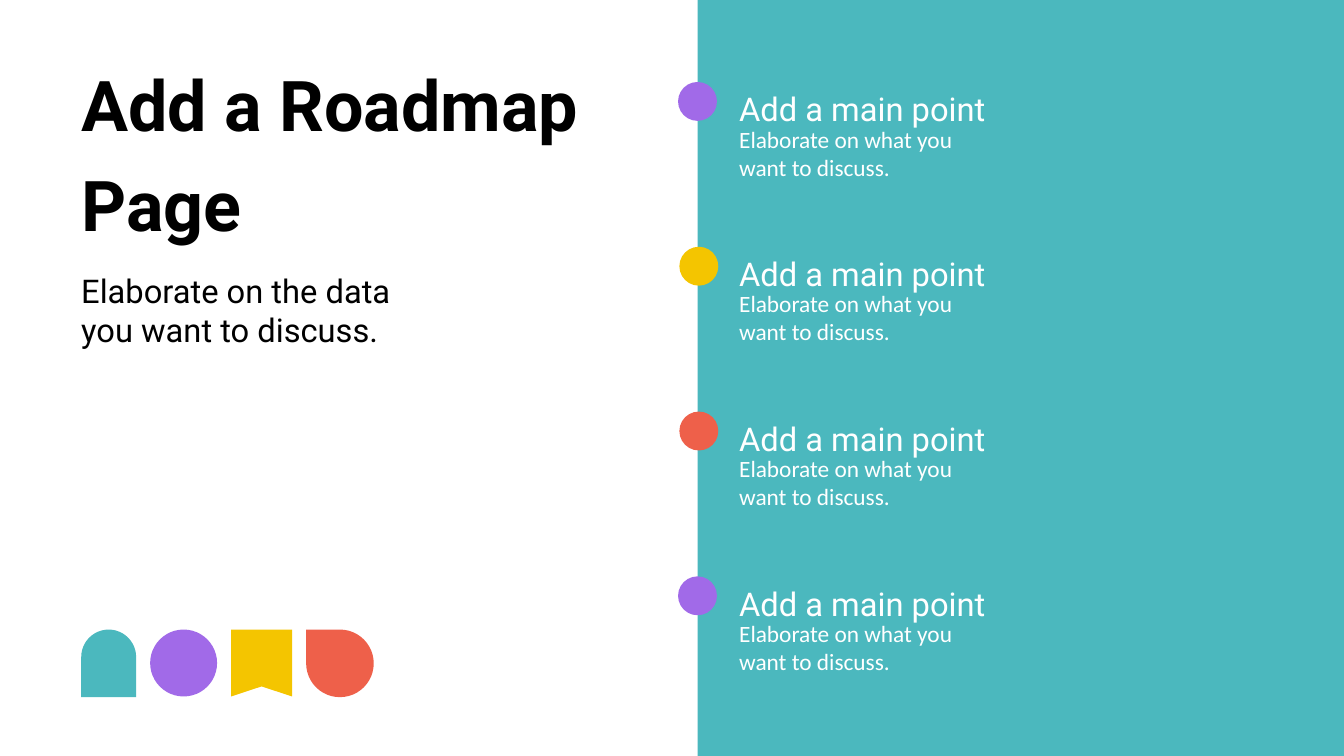
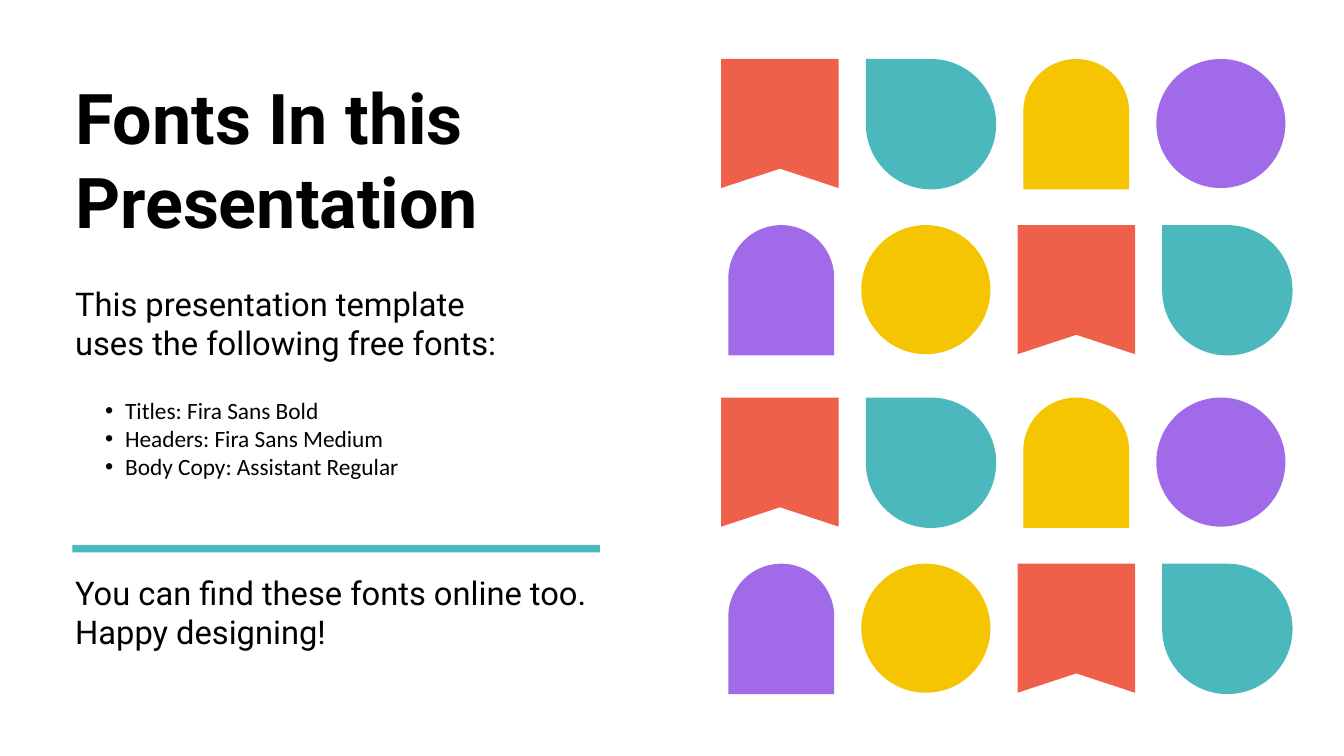
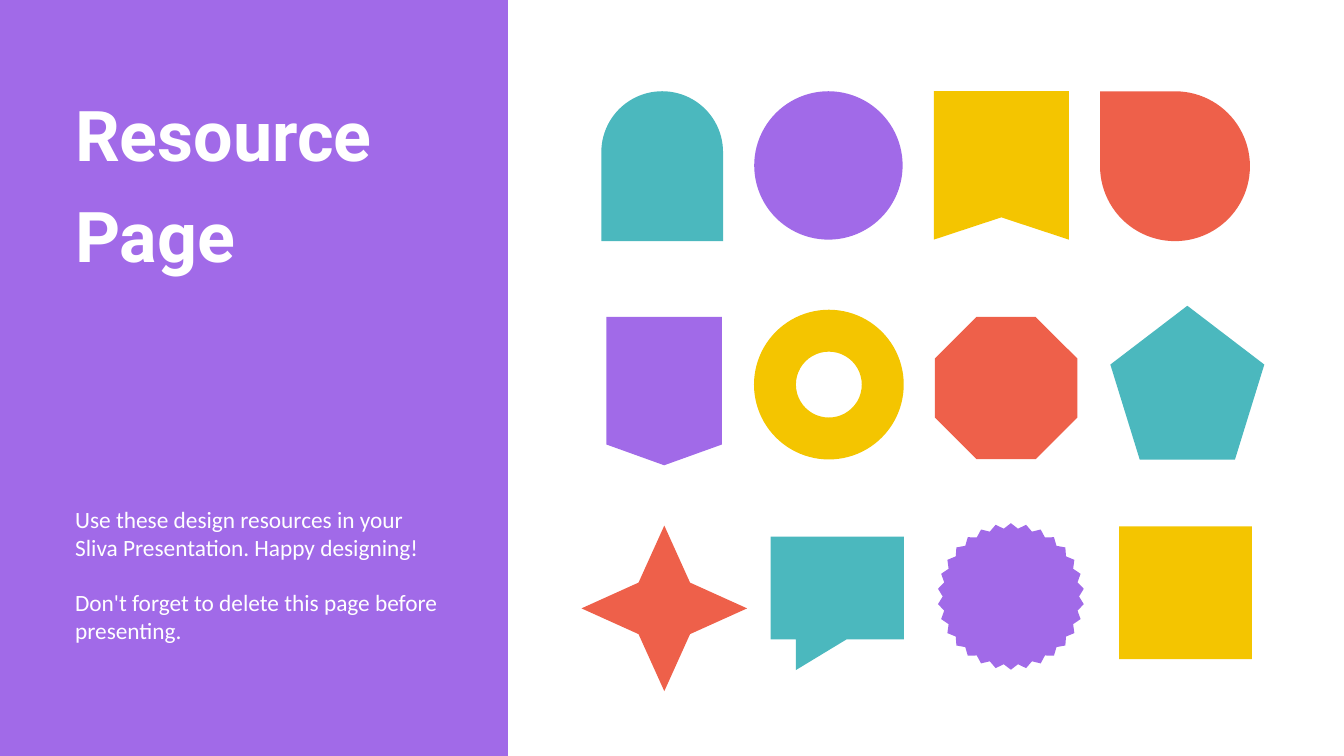
from dataclasses import dataclass
from math import cos, pi, sin
from typing import Any, NamedTuple

from lxml.etree import SubElement
from pptx import Presentation
from pptx.dml.color import RGBColor
from pptx.enum.shapes import MSO_SHAPE as Preset
from pptx.enum.text import MSO_ANCHOR as Anchor, MSO_AUTO_SIZE as AutoSize, PP_ALIGN as Align
from pptx.oxml.ns import qn
from pptx.util import Cm, Pt


@dataclass(frozen=True)
class Theme:
    teal: str = "4BB8BE"
    purple: str = "A16AE8"
    yellow: str = "F4C500"
    coral: str = "EE604A"
    black: str = "000000"
    white: str = "FFFFFF"
    heading_font: str = "Roboto"
    body_font: str = "Calibri"
    title_size: int = 75
    lead_size: int = 35
    body_size: int = 25


THEME = Theme()
PAGE_WIDTH, PAGE_HEIGHT = 50.8, 28.58


class Area(NamedTuple):
    """A rectangle in centimetres."""
    left: float
    top: float
    width: float
    height: float


class Line(NamedTuple):
    text: str
    spacing: float = 1.0
    before: float = 0


@dataclass(frozen=True)
class TextStyle:
    font: str
    size: int
    color: str
    bold: bool = False
    bullet: bool = False


@dataclass(frozen=True)
class Icon:
    kind: str
    color: str
    area: Area


class PresetLook(NamedTuple):
    shape: Any
    adjustments: tuple[float, ...] = ()
    rotation: float = 0


TITLE = TextStyle(THEME.heading_font, THEME.title_size, THEME.black, bold=True)
TITLE_LIGHT = TextStyle(THEME.heading_font, THEME.title_size, THEME.white, bold=True)
LEAD = TextStyle(THEME.heading_font, THEME.lead_size, THEME.black)
LEAD_LIGHT = TextStyle(THEME.heading_font, THEME.lead_size, THEME.white)
BODY_LIGHT = TextStyle(THEME.body_font, THEME.body_size, THEME.white)
BULLETS = TextStyle(THEME.body_font, THEME.body_size, THEME.black, bullet=True)

PRESETS = {
    "rectangle": PresetLook(Preset.RECTANGLE),
    "circle": PresetLook(Preset.OVAL),
    "arch": PresetLook(Preset.ROUND_2_SAME_RECTANGLE, (0.5, 0)),
    "drop": PresetLook(Preset.TEAR, (), 270),
    "donut": PresetLook(Preset.DONUT, (0.28,)),
    "octagon": PresetLook(Preset.OCTAGON),
    "pentagon": PresetLook(Preset.REGULAR_PENTAGON),
    "star": PresetLook(Preset.STAR_4_POINT, (0.22,)),
}


def seal_points(spikes: int = 30, inner: float = 0.93) -> list[tuple[float, float]]:
    points = []
    for step in range(2 * spikes):
        radius = 0.5 * (inner if step % 2 else 1)
        angle = pi * step / spikes
        points.append((0.5 + radius * sin(angle), 0.5 - radius * cos(angle)))
    return points


# Corners as fractions of the width and height
OUTLINES = {
    "banner": [(0, 0), (1, 0), (1, 1), (0.5, 0.85), (0, 1)],
    "badge": [(0, 0), (1, 0), (1, 0.86), (0.5, 1), (0, 0.86)],
    "bubble": [(0, 0), (1, 0), (1, 0.77), (0.57, 0.77), (0.19, 1), (0.19, 0.77), (0, 0.77)],
    "seal": seal_points(),
}

# Width and height of each row icon, relative to the row height
ROW_PROPORTIONS = {
    "arch": (0.82, 1.01),
    "circle": (1, 1),
    "banner": (0.91, 1),
    "drop": (1.01, 1.01),
}
ROW_GAP = 0.21


def draw_icon(shapes: Any, icon: Icon) -> Any:
    left, top, width, height = (Cm(length) for length in icon.area)
    if icon.kind in OUTLINES:
        corners = [(left + x * width, top + y * height) for x, y in OUTLINES[icon.kind]]
        builder = shapes.build_freeform(*corners[0])
        builder.add_line_segments(corners[1:], close=True)
        shape = builder.convert_to_shape()
    else:
        look = PRESETS[icon.kind]
        shape = shapes.add_shape(look.shape, left, top, width, height)
        for index, value in enumerate(look.adjustments):
            shape.adjustments[index] = value
        shape.rotation = look.rotation
    shape.shadow.inherit = False
    shape.fill.solid()
    shape.fill.fore_color.rgb = RGBColor.from_string(icon.color)
    shape.line.fill.background()
    return shape


def draw_row(shapes: Any, row: list[tuple[str, str]], left: float, top: float, size: float) -> None:
    """Set icons side by side with equal gaps."""
    for kind, color in row:
        width, height = (size * part for part in ROW_PROPORTIONS[kind])
        draw_icon(shapes, Icon(kind, color, Area(left, top, width, height)))
        left += width + ROW_GAP * size


def draw_panel(page: Any, color: str, area: Area) -> None:
    """Draw a full-height colour panel behind the title."""
    panel = draw_icon(page.shapes, Icon("rectangle", color, area))
    page.shapes.title.element.addprevious(panel.element)


def set_bullet(para: Any, style: TextStyle) -> None:
    properties = para._p.get_or_add_pPr()
    indent, hanging = (Cm(1.5), Cm(-0.76)) if style.bullet else (0, 0)
    properties.set("marL", str(indent))
    properties.set("indent", str(hanging))
    if style.bullet:
        color = SubElement(properties, qn("a:buClr"))
        SubElement(color, qn("a:srgbClr"), val=style.color)
        SubElement(properties, qn("a:buFont"), typeface="Arial")
        SubElement(properties, qn("a:buChar"), char="•")
    else:
        SubElement(properties, qn("a:buNone"))


def write(box: Any, area: Area, style: TextStyle, lines: list[Line]) -> None:
    """Place a text box or placeholder and fill it."""
    for name, length in area._asdict().items():
        setattr(box, name, Cm(length))
    frame = box.text_frame
    frame_format = {
        "margin_left": 0, "margin_top": 0, "margin_right": 0, "margin_bottom": 0,
        "word_wrap": True, "vertical_anchor": Anchor.TOP,
        "auto_size": AutoSize.SHAPE_TO_FIT_TEXT,
    }
    for name, value in frame_format.items():
        setattr(frame, name, value)
    for index, line in enumerate(lines):
        para = frame.add_paragraph() if index else frame.paragraphs[0]
        set_bullet(para, style)
        para_format = {
            "alignment": Align.LEFT, "level": int(style.bullet),
            "line_spacing": line.spacing, "space_before": Pt(line.before),
        }
        for name, value in para_format.items():
            setattr(para, name, value)
        span = para.add_run()
        span.text = line.text
        span_format = {"name": style.font, "size": Pt(style.size), "bold": style.bold}
        for name, value in span_format.items():
            setattr(span.font, name, value)
        span.font.color.rgb = RGBColor.from_string(style.color)


def add_text(page: Any, area: Area, style: TextStyle, lines: list[Line]) -> None:
    box = page.shapes.add_textbox(*(Cm(length) for length in area))
    write(box, area, style, lines)


def add_page(deck: Any) -> Any:
    return deck.slides.add_slide(deck.slide_layouts[1])


def build_roadmap(deck: Any) -> None:
    page = add_page(deck)
    panel_left = 26.37
    draw_panel(page, THEME.teal, Area(panel_left, 0, PAGE_WIDTH - panel_left, PAGE_HEIGHT))
    write(page.shapes.title, Area(3.07, 2.31, 19.79, 6.4), TITLE,
          [Line("Add a Roadmap"), Line("Page", 1.2)])
    write(page.placeholders[1], Area(3.07, 9.8, 14.68, 3.43), LEAD,
          [Line("Elaborate on the data", 1.3), Line("you want to discuss.")])
    icons = [("arch", THEME.teal), ("circle", THEME.purple),
             ("banner", THEME.yellow), ("drop", THEME.coral)]
    draw_row(page.shapes.add_group_shape().shapes, icons, 3.07, 23.8, 2.53)

    first_top, pitch, dot_size = 3.07, 6.23, 1.47
    dots = [(THEME.purple, 25.63), (THEME.yellow, 25.68),
            (THEME.coral, 25.68), (THEME.purple, 25.63)]
    for index, (color, dot_left) in enumerate(dots):
        top = first_top + index * pitch
        add_text(page, Area(27.94, top, 12.73, 1.5), LEAD_LIGHT, [Line("Add a main point", 1.2)])
        add_text(page, Area(27.94, top + 1.65, 12.73, 2.13), BODY_LIGHT,
                 [Line("Elaborate on what you"), Line("want to discuss.")])
        draw_icon(page.shapes, Icon("circle", color, Area(dot_left, top + 0.03, dot_size, dot_size)))


def build_fonts(deck: Any) -> None:
    page = add_page(deck)
    banner_row = [("banner", THEME.coral), ("drop", THEME.teal),
                  ("arch", THEME.yellow), ("circle", THEME.purple)]
    arch_row = [("arch", THEME.purple), ("circle", THEME.yellow),
                ("banner", THEME.coral), ("drop", THEME.teal)]
    for block_top in (2.23, 15.03):
        group = page.shapes.add_group_shape()
        draw_row(group.shapes, banner_row, 27.26, block_top, 4.88)
        draw_row(group.shapes, arch_row, 27.53, block_top + 6.28, 4.88)
    draw_icon(page.shapes, Icon("rectangle", THEME.teal, Area(2.74, 20.6, 19.94, 0.28)))

    write(page.shapes.title, Area(2.84, 2.82, 16.89, 6.4), TITLE,
          [Line("Fonts In this Presentation")])
    add_text(page, Area(2.84, 10.72, 17.63, 3), LEAD,
             [Line("This presentation template uses the following free fonts:")])
    write(page.placeholders[1], Area(3.23, 14.99, 15.34, 3.2), BULLETS,
          [Line("Titles: Fira Sans Bold"), Line("Headers: Fira Sans Medium"),
           Line("Body Copy: Assistant Regular")])
    add_text(page, Area(2.84, 21.64, 20.22, 3), LEAD,
             [Line("You can find these fonts online too."), Line("Happy designing!")])


def build_resources(deck: Any) -> None:
    page = add_page(deck)
    draw_panel(page, THEME.purple, Area(0, 0, 19.2, PAGE_HEIGHT))
    write(page.shapes.title, Area(2.84, 2.82, 11.96, 6.38), TITLE_LIGHT,
          [Line("Resource", 1.2), Line("Page", 1.2)])
    write(page.placeholders[1], Area(2.84, 19.08, 14.05, 5.33), BODY_LIGHT,
          [Line("Use these design resources in your Sliva Presentation. Happy designing!"),
           Line("Don't forget to delete this page before presenting.", before=30)])

    top_row = [("arch", THEME.teal), ("circle", THEME.purple),
               ("banner", THEME.yellow), ("drop", THEME.coral)]
    draw_row(page.shapes.add_group_shape().shapes, top_row, 22.73, 3.45, 5.61)
    lower_rows = [
        [
            Icon("badge", THEME.purple, Area(22.92, 11.98, 4.37, 5.61)),
            Icon("donut", THEME.yellow, Area(28.5, 11.71, 5.66, 5.66)),
            Icon("octagon", THEME.coral, Area(35.34, 11.98, 5.38, 5.38)),
            Icon("pentagon", THEME.teal, Area(41.97, 11.56, 5.82, 5.82)),
        ],
        [
            Icon("star", THEME.coral, Area(21.98, 19.87, 6.26, 6.26)),
            Icon("bubble", THEME.teal, Area(29.13, 20.29, 5.04, 5.04)),
            Icon("seal", THEME.purple, Area(35.44, 19.78, 5.54, 5.54)),
            Icon("rectangle", THEME.yellow, Area(42.3, 19.9, 5.02, 5.02)),
        ],
    ]
    for row in lower_rows:
        group = page.shapes.add_group_shape()
        for icon in row:
            draw_icon(group.shapes, icon)


def main() -> None:
    deck = Presentation()
    deck.slide_width, deck.slide_height = Cm(PAGE_WIDTH), Cm(PAGE_HEIGHT)
    for build in (build_roadmap, build_fonts, build_resources):
        build(deck)
    deck.save("out.pptx")


if __name__ == "__main__":
    main()
